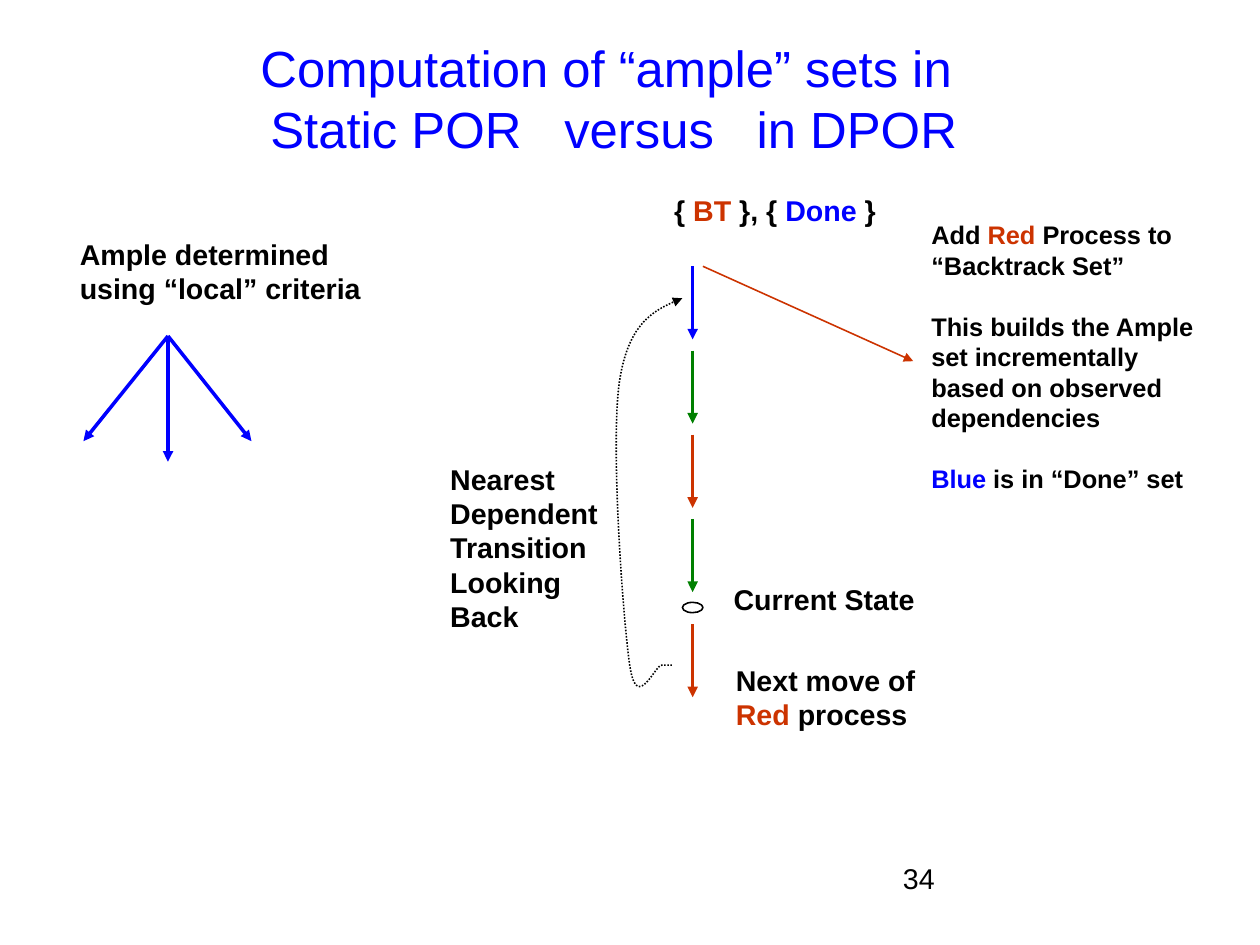
from lxml.etree import SubElement
from pptx import Presentation
from pptx.dml.color import RGBColor
from pptx.enum.dml import MSO_LINE
from pptx.enum.shapes import MSO_CONNECTOR, MSO_SHAPE
from pptx.enum.text import MSO_ANCHOR, MSO_AUTO_SIZE, PP_ALIGN
from pptx.oxml.ns import qn
from pptx.util import Inches, Pt

COLORS = {"black": "000000", "blue": "0000FF", "green": "008000", "red": "CC3300"}
FONT = "Arial"


def rgb(name):
    return RGBColor.from_string(COLORS[name])


def add_run(p, text, size, color="black", bold=False):
    r = p.add_run()
    r.text = text
    r.font.name = FONT
    r.font.size = Pt(size)
    r.font.bold = bold
    r.font.color.rgb = rgb(color)
    return r


def set_title(slide):
    s = slide.shapes.title
    s.left, s.top, s.width, s.height = map(Inches, (0.27, 0.27, 10.2, 1.29))
    tf = s.text_frame
    tf.word_wrap = True
    tf.auto_size = MSO_AUTO_SIZE.NONE
    tf.vertical_anchor = MSO_ANCHOR.MIDDLE
    tf.margin_bottom = Inches(0.17)
    p = tf.paragraphs[0]
    p.alignment = PP_ALIGN.CENTER
    add_run(p, "Computation of “ample” sets in ", 32, "blue")
    p.add_line_break()
    for text in ("Static POR", " ", "versus", " ", "in DPOR"):
        r = add_run(p, text, 32, "blue")
        if text == " ":
            r.font._element.set("spc", "1780")


def add_label(slide, left, top, width, height, lines, size=18, gaps=()):
    s = slide.shapes.add_textbox(*map(Inches, (left, top, width, height)))
    tf = s.text_frame
    tf.word_wrap = False
    tf.auto_size = MSO_AUTO_SIZE.SHAPE_TO_FIT_TEXT
    for i, runs in enumerate(lines):
        p = tf.add_paragraph() if i else tf.paragraphs[0]
        if i in gaps:
            p.space_before = Pt(size * 1.2)
        for text, color in runs:
            add_run(p, text, size, color, True)


def black(*lines):
    return [[(line, "black")] for line in lines]


def style_line(s, color, width, arrow=True):
    s.line.color.rgb = rgb(color)
    s.line.width = Pt(width)
    if arrow:
        ln = s._element.spPr.find(qn("a:ln"))
        SubElement(ln, qn("a:tailEnd"), type="triangle")


def add_arrow(slide, start, end, color, width=2.25):
    s = slide.shapes.add_connector(MSO_CONNECTOR.STRAIGHT, *map(Inches, start + end))
    style_line(s, color, width)
    SubElement(s._element.spPr, qn("a:effectLst"))


def bezier(points, t):
    weights = ((1 - t) ** 3, 3 * t * (1 - t) ** 2, 3 * t * t * (1 - t), t ** 3)
    return tuple(sum(w * pt[axis] for w, pt in zip(weights, points)) for axis in (0, 1))


def add_curve(slide, knots, steps=24):
    points = [bezier(knots[i:i + 4], n / steps)
              for i in range(0, len(knots) - 1, 3) for n in range(1, steps + 1)]
    builder = slide.shapes.build_freeform(*map(Inches, knots[0]))
    builder.add_line_segments([tuple(map(Inches, pt)) for pt in points], close=False)
    s = builder.convert_to_shape()
    s.fill.background()
    s.line.dash_style = MSO_LINE.ROUND_DOT
    style_line(s, "black", 1)
    s.shadow.inherit = False


def add_state(slide, left, top, width, height):
    s = slide.shapes.add_shape(MSO_SHAPE.OVAL, *map(Inches, (left, top, width, height)))
    s.fill.background()
    style_line(s, "black", 1, arrow=False)
    s.shadow.inherit = False


def add_page_number(slide, number):
    s = slide.shapes.add_textbox(*map(Inches, (7.9, 7.53, 2.56, 0.57)))
    tf = s.text_frame
    tf.word_wrap = True
    tf.margin_left = tf.margin_right = tf.margin_bottom = 0
    tf.margin_top = Inches(0.03)
    p = tf.paragraphs[0]
    p.line_spacing = 0.93
    add_run(p, number, 18)


def main():
    prs = Presentation()
    prs.slide_width = Inches(28 / 2.54)
    prs.slide_height = Inches(21 / 2.54)
    slide = prs.slides.add_slide(prs.slide_layouts[5])
    set_title(slide)

    for end in ((0.73, 3.86), (2.2, 3.86), (1.47, 4.04)):
        add_arrow(slide, (1.47, 2.94), end, "blue")
    add_label(slide, 0.6, 2.02, 2.66, 0.7,
              black("Ample determined", "using “local” criteria"))

    trace = [(2.33 + 2.21 * i / 3, color)
             for i, color in enumerate(("blue", "green", "red", "green"))]
    for top, color in trace + [(5.46, "red")]:
        add_arrow(slide, (6.06, top), (6.06, top + 0.64), color)
    add_state(slide, 5.97, 5.27, 0.18, 0.09)
    add_label(slide, 6.32, 5.04, 1.82, 0.4, black("Current State"))
    add_label(slide, 6.34, 5.75, 1.84, 0.7,
              black("Next move of") + [[("Red ", "red"), ("process", "black")]])

    add_curve(slide, [(5.88, 5.82), (5.86, 5.82), (5.85, 5.82), (5.79, 5.82),
                      (5.73, 5.82), (5.57, 6.24), (5.51, 5.82),
                      (5.45, 5.41), (5.34, 3.88), (5.42, 3.34),
                      (5.5, 2.81), (5.73, 2.71), (5.97, 2.61)])
    add_label(slide, 3.84, 3.99, 1.49, 1.6,
              black("Nearest", "Dependent", "Transition", "Looking", "Back"))

    add_arrow(slide, (6.15, 2.33), (7.99, 3.16), "red", 1)
    add_label(slide, 8.05, 1.87, 2.5, 2.5,
              [[("Add ", "black"), ("Red ", "red"), ("Process to", "black")]]
              + black("“Backtrack Set”", "This builds the Ample", "set incrementally",
                      "based on observed", "dependencies")
              + [[("Blue", "blue"), (" is in “Done” set", "black")]],
              size=16, gaps=(2, 6))
    add_label(slide, 5.8, 1.64, 2, 0.4,
              [[("{ ", "black"), ("BT", "red"), (" }, { ", "black"),
                ("Done", "blue"), (" }", "black")]])
    add_page_number(slide, "34")
    prs.save("out.pptx")


if __name__ == "__main__":
    main()
